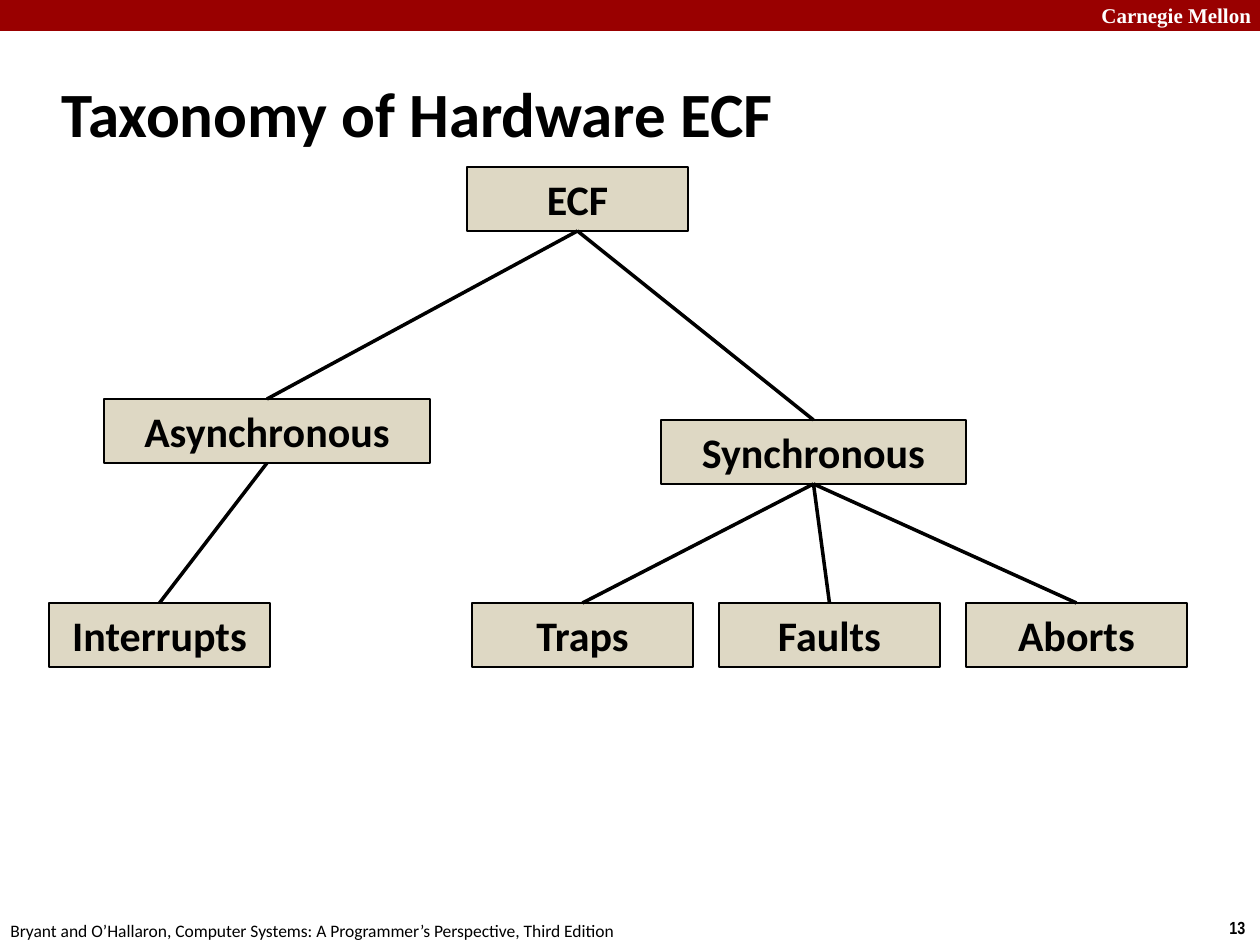
from dataclasses import dataclass

from lxml.etree import SubElement
from pptx import Presentation
from pptx.dml.color import RGBColor
from pptx.enum.shapes import MSO_CONNECTOR as Connector, MSO_SHAPE as Shape
from pptx.enum.text import MSO_ANCHOR as Anchor, MSO_AUTO_SIZE as AutoSize, PP_ALIGN as Align
from pptx.oxml.ns import qn
from pptx.shapes.autoshape import Shape as AutoShape
from pptx.slide import Slide
from pptx.text.text import TextFrame
from pptx.util import Emu, Pt

BLACK = RGBColor(0x00, 0x00, 0x00)
WHITE = RGBColor(0xFF, 0xFF, 0xFF)
RED = RGBColor(0x99, 0x00, 0x00)
TAN = RGBColor(0xDE, 0xD8, 0xC4)

BOX_H = 64
BOX_W = 221
LEAF_Y = 603
TOP_SITE, BOTTOM_SITE = 0, 2


@dataclass(frozen=True)
class Node:
    text: str
    x: int
    y: int
    w: int = BOX_W
    parent: str = ""


@dataclass(frozen=True)
class Label:
    text: str
    x: int
    y: int
    w: int
    h: int
    size: int
    font: str
    color: RGBColor = BLACK
    bold: bool = False


NODES = [
    Node("ECF", 467, 167),
    Node("Asynchronous", 104, 399, 326, "ECF"),
    Node("Synchronous", 661, 420, 305, "ECF"),
    Node("Interrupts", 49, LEAF_Y, parent="Asynchronous"),
    *(Node(text, 472 + 247 * i, LEAF_Y, parent="Synchronous")
      for i, text in enumerate(["Traps", "Faults", "Aborts"])),
]

LABELS = [
    Label("Carnegie Mellon", 1089, -4, 180, 38, 12, "Times New Roman", WHITE, True),
    Label("13", 1217, 911, 43, 34, 10, "Arial Narrow", bold=True),
    Label("Bryant and O’Hallaron, Computer Systems: A Programmer’s Perspective, Third Edition",
          -2, 914, 640, 34, 10, "Calibri"),
]


def px(n: int) -> Emu:
    return Emu(round(n * 914400 / 126))


def set_text(tf: TextFrame, text: str, size: int, font: str = "Calibri",
             color: RGBColor = BLACK, bold: bool = True, align: Align = Align.LEFT) -> None:
    tf.text = text
    p = tf.paragraphs[0]
    p.alignment = align
    r = p.runs[0]
    r.font.name = font
    r.font.size = Pt(size)
    r.font.bold = bold
    r.font.color.rgb = color


def add_rect(s: Slide, x: int, y: int, w: int, h: int, fill: RGBColor) -> AutoShape:
    sp = s.shapes.add_shape(Shape.RECTANGLE, px(x), px(y), px(w), px(h))
    sp.shadow.inherit = False
    sp.fill.solid()
    sp.fill.fore_color.rgb = fill
    sp.line.fill.background()
    return sp


def add_label(s: Slide, label: Label) -> None:
    sp = s.shapes.add_textbox(px(label.x), px(label.y), px(label.w), px(label.h))
    sp.text_frame.word_wrap = False
    set_text(sp.text_frame, label.text, label.size, label.font, label.color, label.bold)


def add_node(s: Slide, node: Node) -> AutoShape:
    sp = add_rect(s, node.x, node.y, node.w, BOX_H, TAN)
    sp.line.color.rgb = BLACK
    sp.line.width = Pt(0.75)
    tf = sp.text_frame
    tf.word_wrap = True
    tf.auto_size = AutoSize.SHAPE_TO_FIT_TEXT
    tf.vertical_anchor = Anchor.TOP
    set_text(tf, node.text, 24, align=Align.CENTER)
    return sp


def add_branch(s: Slide, parent: AutoShape, child: AutoShape) -> None:
    line = s.shapes.add_connector(Connector.STRAIGHT, 0, 0, 0, 0)
    line.begin_connect(parent, BOTTOM_SITE)
    line.end_connect(child, TOP_SITE)
    line.line.color.rgb = BLACK
    line.line.width = Pt(2)
    SubElement(line._element.spPr, qn("a:effectLst"))


def add_title(s: Slide, text: str) -> None:
    sp = s.shapes.title
    sp.left, sp.top, sp.width, sp.height = px(49), px(60), px(1046), px(105)
    sp.text_frame.vertical_anchor = Anchor.MIDDLE
    set_text(sp.text_frame, text, 36)


def main() -> None:
    prs = Presentation()
    prs.slide_width, prs.slide_height = px(1260), px(945)
    s = prs.slides.add_slide(prs.slide_layouts[5])
    add_rect(s, 0, 0, 1260, 31, RED)
    for label in LABELS:
        add_label(s, label)
    add_title(s, "Taxonomy of Hardware ECF")
    boxes = {node.text: add_node(s, node) for node in NODES}
    for node in NODES:
        if node.parent:
            add_branch(s, boxes[node.parent], boxes[node.text])
    prs.save("out.pptx")


if __name__ == "__main__":
    main()
